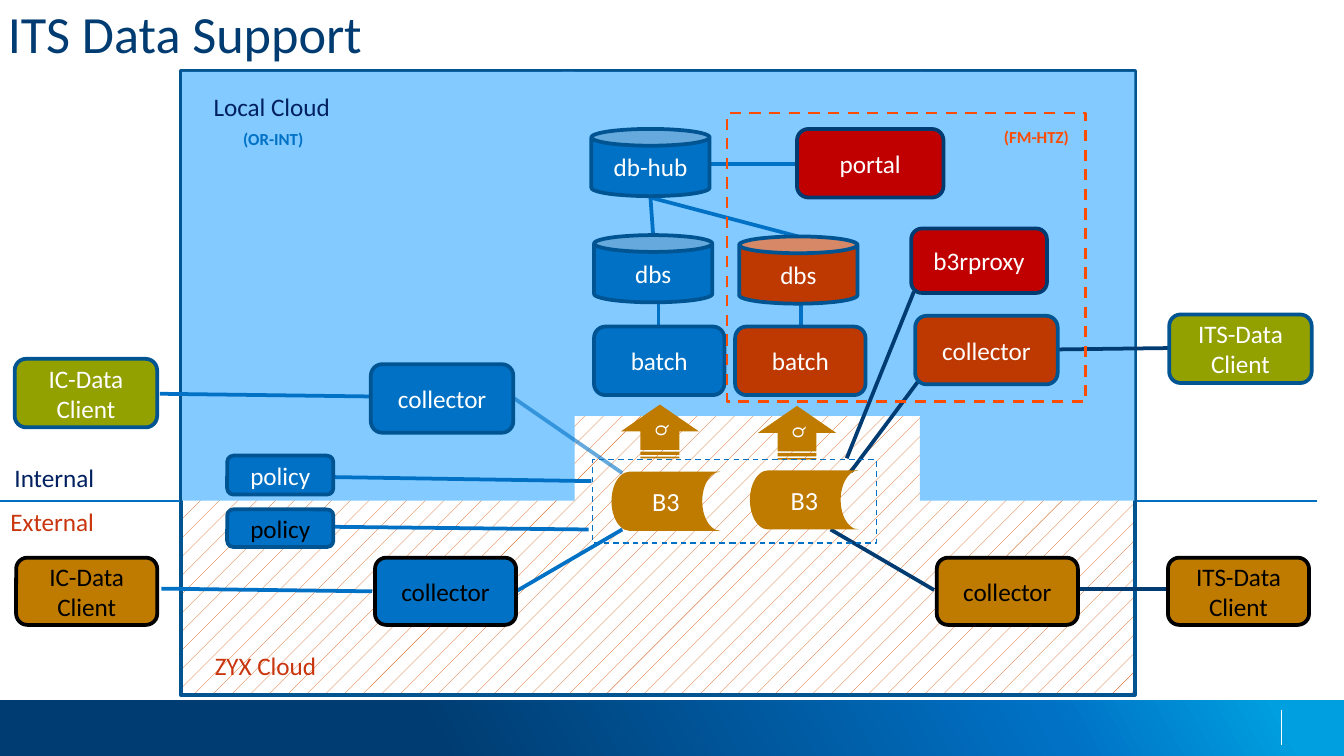
from lxml import etree
from pptx import Presentation, util as u
from pptx.dml.color import RGBColor
from pptx.enum import dml, shapes, text
from pptx.oxml import ns

deck = Presentation()
deck.slide_width = u.Inches(10)
deck.slide_height = deck.slide_width * 9 // 16
slide = deck.slides.add_slide(deck.slide_layouts[6])
CELL = deck.slide_width / 100  # square grid, 100 columns wide

KIND = shapes.MSO_SHAPE
BLUE, EDGE, NAVY, SKY = "0071C5", "005492", "003C71", "82CAFF"
RUST, OCHRE, OLIVE, RED = "BD3901", "BF7A00", "92A000", "C00000"
INDIGO, BRICK, ORANGE = "002060", "C9350D", "FC4C02"
WHITE, BLACK = "FFFFFF", "000000"


def paint(fill, colour):
    """Fill with a hex colour, or leave empty for None."""
    if colour is None:
        fill.background()
    else:
        fill.solid()
        fill.fore_color.rgb = RGBColor.from_string(colour)


def add_block(kind, area, fill=None, edge=None, words="", ink=WHITE, size=13.5, weight=2):
    block = slide.shapes.add_shape(kind, *[round(n * CELL) for n in area])
    block.shadow.inherit = False
    paint(block.fill, fill)
    paint(block.line.fill, edge)
    if edge:
        block.line.width = u.Pt(weight)
    if words:
        block.text_frame.text = words
        block.text_frame.vertical_anchor = text.MSO_ANCHOR.MIDDLE
        for paragraph in block.text_frame.paragraphs:
            paragraph.alignment = text.PP_ALIGN.CENTER
            for name, value in {"name": "Calibri", "size": u.Pt(size)}.items():
                setattr(paragraph.font, name, value)
            paint(paragraph.font.fill, ink)
    return block


# Footer band with a three-colour gradient
footer = add_block(KIND.RECTANGLE, (0, 52.1, 100, 4.2))
footer.fill.gradient()
gradient = footer.fill._xPr.find(ns.qn("a:gradFill"))
stops = gradient.find(ns.qn("a:gsLst"))
for stop in list(stops):
    stops.remove(stop)
for share, colour in ((32, NAVY), (78, BLUE), (95, "009FDF")):
    stop = etree.SubElement(stops, ns.qn("a:gs"), pos=str(share * 1000))
    etree.SubElement(stop, ns.qn("a:srgbClr"), val=colour)
gradient.find(ns.qn("a:lin")).set("ang", str(331 * 60000))

# Hatched external cloud, with the internal cloud stepped on top of it
external = add_block(KIND.RECTANGLE, (13.45, 5.3, 71, 46.4), WHITE, EDGE)
external.fill.patterned()
external.fill.pattern = dml.MSO_PATTERN.PERCENT_5
external.fill.fore_color.rgb = RGBColor.from_string("D35203")
external.fill.back_color.rgb = RGBColor.from_string(WHITE)
for area in ((41.8, 5.35, 26.7, 25.6), (13.55, 5.35, 29.2, 31.9), (68.45, 5.35, 15.95, 31.9)):
    add_block(KIND.RECTANGLE, area, SKY)

# Links: start x, start y, end x, end y, colour, width in points
links = [
    (38.2, 29.6, 46.3, 35.2, BLUE, 2),
    (13.4, 37.3, 0, 37.3, "006FC1", 1.25),
    (98, 37.3, 84.6, 37.3, "006FC1", 1.25),
    (52.8, 12.2, 59.3, 12.2, BLUE, 2),
    (11.9, 29.3, 27.6, 29.5, BLUE, 2),
    (24.9, 35.5, 44, 35.8, BLUE, 2),
    (24.7, 39.2, 43.8, 39.4, BLUE, 2),
    (12, 43.8, 27.7, 44, BLUE, 2),
    (38.4, 44, 46.3, 39.4, BLUE, 2),
    (49, 24.3, 49, 22.6, BLUE, 2),
    (59.6, 24.4, 59.6, 22.7, BLUE, 2),
    (48.4, 14.7, 48.6, 17.5, BLUE, 2),
    (48.4, 14.7, 59.4, 17.6, BLUE, 2),
    (68.3, 28.4, 63.3, 35.1, NAVY, 2),
    (69.5, 43.9, 61.8, 39.4, NAVY, 2),
    (87, 25.9, 78.7, 26, NAVY, 2),
    (87, 43.8, 80.3, 43.8, NAVY, 2),
    (68, 21.7, 63, 34.1, NAVY, 2),
    (95.35, 52.8, 95.35, 55.4, WHITE, 0.75),
]
wires = []
for *ends, colour, width in links:
    wire = slide.shapes.add_connector(shapes.MSO_CONNECTOR.STRAIGHT, *[round(n * CELL) for n in ends])
    paint(wire.line.fill, colour)
    wire.line.width = u.Pt(width)
    etree.SubElement(wire._element.spPr, ns.qn("a:effectLst"))
    wires.append(wire)
faded = next(wires[0]._element.iter(ns.qn("a:srgbClr")))
etree.SubElement(faded, ns.qn("a:alpha"), val="60000")

# Services and clients: left, top, width, height, fill, edge, words, ink
for *area, fill, edge, words, ink in (
    (27.6, 27.1, 10.6, 5.1, BLUE, EDGE, "collector", WHITE),
    (27.9, 41.5, 10.5, 5, BLUE, BLACK, "collector", BLACK),
    (68.1, 23.5, 10.6, 5.1, RUST, EDGE, "collector", WHITE),
    (69.7, 41.5, 10.5, 5, OCHRE, BLACK, "collector", BLACK),
    (44.2, 24.3, 9.7, 5.1, BLUE, EDGE, "batch", WHITE),
    (54.7, 24.3, 9.7, 5.1, RUST, EDGE, "batch", WHITE),
    (16.9, 33.9, 7.9, 2.9, BLUE, EDGE, "policy", WHITE),
    (16.9, 37.9, 7.9, 2.8, BLUE, EDGE, "policy", BLACK),
    (87, 23.4, 10.6, 5.1, OLIVE, EDGE, "ITS-Data\nClient", WHITE),
    (86.9, 41.5, 10.5, 5, OCHRE, BLACK, "ITS-Data Client", BLACK),
    (1.1, 26.7, 10.6, 5.1, OLIVE, EDGE, "IC-Data\nClient", WHITE),
    (1.2, 41.5, 10.5, 5, OCHRE, BLACK, "IC-Data\nClient", BLACK),
    (59.3, 9.6, 10.9, 5.1, RED, NAVY, "portal", WHITE),
    (67.8, 17, 10.1, 4.8, RED, NAVY, "b3rproxy", WHITE),
):
    add_block(KIND.ROUNDED_RECTANGLE, area, fill, edge, words, ink)

# Databases
for left, top, fill, words in (
    (44, 9.6, BLUE, "db-hub"), (44.2, 17.5, BLUE, "dbs"), (55, 17.6, RUST, "dbs"),
):
    add_block(KIND.CAN, (left, top, 8.8, 5), fill, EDGE, words)

# Object stores, each with a queue arrow rising from it
for store_left, store_top, queue_left, queue_top in ((45.5, 35.1, 47.1, 29.2), (55.8, 35, 57.3, 29.3)):
    add_block(KIND.FLOWCHART_STORED_DATA, (store_left, store_top, 8.1, 4.4), OCHRE, words="B3", size=14)
    queue = add_block(KIND.STRIPED_RIGHT_ARROW, (queue_left, queue_top, 4, 5.8), OCHRE, words="Q", size=9)
    queue.rotation = 270

# Dashed frames around the stores and the second site
for area, edge, weight in (((44.1, 34.2, 21.1, 6.2), BLUE, 0.75), ((54.1, 8.4, 26.7, 21.5), ORANGE, 1.5)):
    frame = add_block(KIND.RECTANGLE, area, None, edge, weight=weight)
    frame.line.dash_style = dml.MSO_LINE.DASH

# Captions: left, top, width, height, words, size, colour
for *area, words, size, colour in (
    (-0.4, -0.4, 34.2, 5.1, "ITS Data Support", 28, NAVY),
    (14.9, 6.3, 11.1, 3.3, "Local Cloud", 13.5, INDIGO),
    (15, 47.9, 11.7, 3.3, "ZYX Cloud", 13.5, BRICK),
    (0.1, 33.9, 8.3, 3.3, "Internal", 13.5, INDIGO),
    (-0.2, 37.2, 9, 3.3, "External", 13.5, BRICK),
    (74.7, 9.4, 5.6, 1.5, "(FM-HTZ)", 9, ORANGE),
    (18.1, 9.6, 5.2, 1.5, "(OR-INT)", 9, BLUE),
):
    caption = slide.shapes.add_textbox(*[round(n * CELL) for n in area]).text_frame
    caption.text = words
    is_title, is_site = size == 28, size == 9
    caption.word_wrap = is_title
    if not is_title:
        caption.auto_size = text.MSO_AUTO_SIZE.SHAPE_TO_FIT_TEXT
    if is_site:
        for side in ("left", "top", "right", "bottom"):
            setattr(caption, f"margin_{side}", 0)
    font = caption.paragraphs[0].font
    for name, value in {"name": "Calibri", "size": u.Pt(size), "bold": is_site}.items():
        setattr(font, name, value)
    paint(font.fill, colour)

deck.save("out.pptx")
